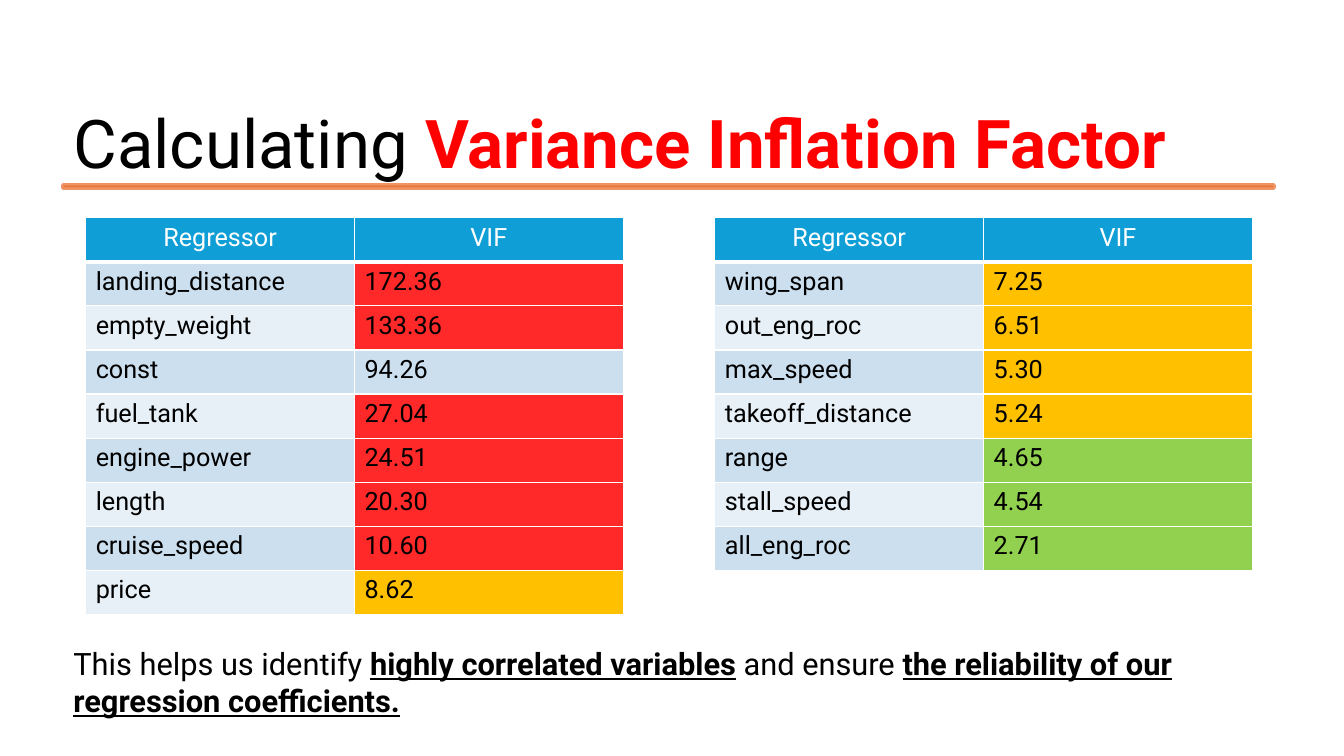
from dataclasses import dataclass
from lxml import etree
from pptx import Presentation, util as u
from pptx.dml.color import RGBColor
from pptx.enum import shapes, text
from pptx.oxml import ns

TITLE = [("Calculating ", ""), ("Variance Inflation Factor", "hot")]
NOTE = [
    ("This helps us identify ", ""),
    ("highly correlated variables", "key"),
    (" and ensure ", ""),
    ("the reliability of our regression coefficients.", "key"),
]
HEAD = ("Regressor", "VIF")
LEFT = [
    ("landing_distance", "172.36"),
    ("empty_weight", "133.36"),
    ("const", "94.26"),
    ("fuel_tank", "27.04"),
    ("engine_power", "24.51"),
    ("length", "20.30"),
    ("cruise_speed", "10.60"),
    ("price", "8.62"),
]
RIGHT = [
    ("wing_span", "7.25"),
    ("out_eng_roc", "6.51"),
    ("max_speed", "5.30"),
    ("takeoff_distance", "5.24"),
    ("range", "4.65"),
    ("stall_speed", "4.54"),
    ("all_eng_roc", "2.71"),
]


@dataclass(frozen=True)
class Theme:
    font: str = "Roboto"
    ink: str = "000000"
    paper: str = "FFFFFF"
    hot: str = "FF0000"
    rule: str = "E97132"
    head: str = "0F9ED5"
    bands: tuple = ("CCDFEF", "E7F0F7")
    high: str = "FF2929"
    mid: str = "FFC000"
    low: str = "92D050"
    title: int = 48
    note: int = 22
    cell: int = 18


T = Theme()
WIDE, TALL = u.Inches(13.33), u.Inches(7.5)
EDGE = u.Inches(0.63)
COL = WIDE // 5
ROW = u.Inches(7) // 16
TOP = u.Inches(2.16)


def paint(fill, tint):
    fill.solid()
    fill.fore_color.rgb = RGBColor.from_string(tint)


def style(font, size, tint):
    font.name, font.size = T.font, u.Pt(size)
    font.color.rgb = RGBColor.from_string(tint)


def write(slide, box, runs, size):
    frame = slide.shapes.add_textbox(*box).text_frame
    frame.word_wrap = True
    para = frame.paragraphs[0]
    style(para.font, size, T.ink)
    for words, mark in runs:
        run = para.add_run()
        run.text = words
        style(run.font, size, T.hot if mark == "hot" else T.ink)
        if mark:
            run.font.bold = True
        if mark == "key":
            run.font.underline = True


def fade(part, share):
    """Make every solid colour below an XML part partly transparent."""
    for tint in part.iter(ns.qn("a:srgbClr")):
        etree.SubElement(tint, ns.qn("a:alpha"), val=str(share * 1000))


def edge(cell, base):
    """Draw white cell borders; must come before the fill."""
    props = cell._tc.get_or_add_tcPr()
    for side, width in zip("LRTB", (1, 1, 1, base)):
        line = etree.SubElement(props, ns.qn("a:ln" + side), w=str(u.Pt(width)))
        fill = etree.SubElement(line, ns.qn("a:solidFill"))
        etree.SubElement(fill, ns.qn("a:srgbClr"), val=T.paper)


def grade(name, value, band):
    """Colour a VIF by its size; the constant keeps its row's band."""
    if name == "const":
        return band
    vif = float(value)
    return T.high if vif >= 10 else T.mid if vif >= 5 else T.low


def tabulate(slide, left, rows):
    count = len(rows) + 1
    grid = slide.shapes.add_table(count, 2, left, TOP, 2 * COL, count * ROW).table
    for line in grid.rows:
        line.height = ROW
    for r, pair in enumerate([HEAD] + rows):
        band = T.bands[(r - 1) % 2]
        tints = (band, grade(*pair, band)) if r else (T.head, T.head)
        for c, (words, tint) in enumerate(zip(pair, tints)):
            cell = grid.cell(r, c)
            edge(cell, 1 if r else 3)
            paint(cell.fill, tint)
            cell.text = words
            para = cell.text_frame.paragraphs[0]
            style(para.font, T.cell, T.ink if r else T.paper)
            para.font.bold = False
            if not r:
                para.alignment = text.PP_ALIGN.CENTER


def main():
    deck = Presentation()
    deck.slide_width, deck.slide_height = WIDE, TALL
    slide = deck.slides.add_slide(deck.slide_layouts[6])

    bar = slide.shapes.add_shape(
        shapes.MSO_SHAPE.RECTANGLE, EDGE, u.Inches(1.84), u.Inches(12), u.Inches(0.02))
    bar.shadow.inherit = False
    paint(bar.fill, T.rule)
    paint(bar.line.fill, T.rule)
    bar.line.width = u.Pt(3.5)
    fade(bar._element.spPr, 75)

    write(slide, (EDGE, u.Inches(0.96), u.Inches(12.31), u.Inches(0.91)), TITLE, T.title)
    write(slide, (EDGE, u.Inches(6.35), u.Inches(11.97), u.Inches(0.84)), NOTE, T.note)
    for left, rows in ((0.85, LEFT), (7.09, RIGHT)):
        tabulate(slide, u.Inches(left), rows)
    deck.save("out.pptx")


if __name__ == "__main__":
    main()
